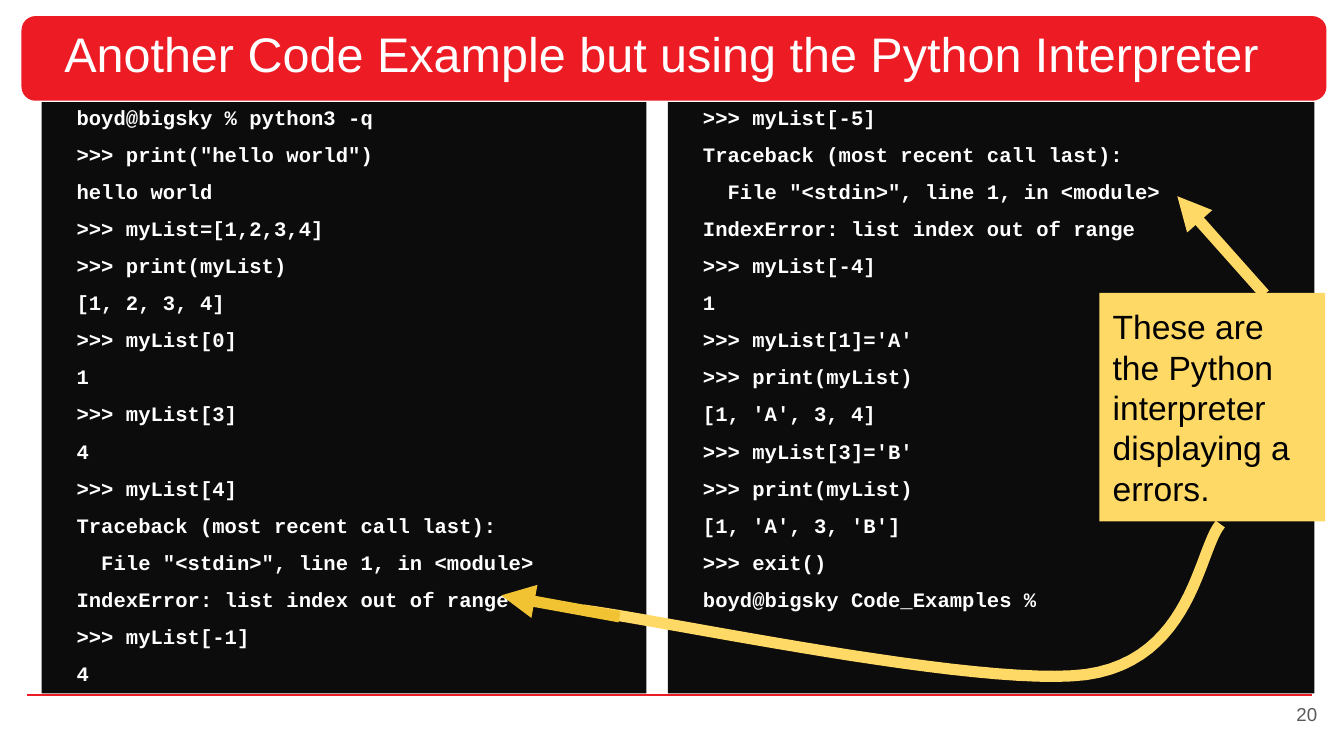
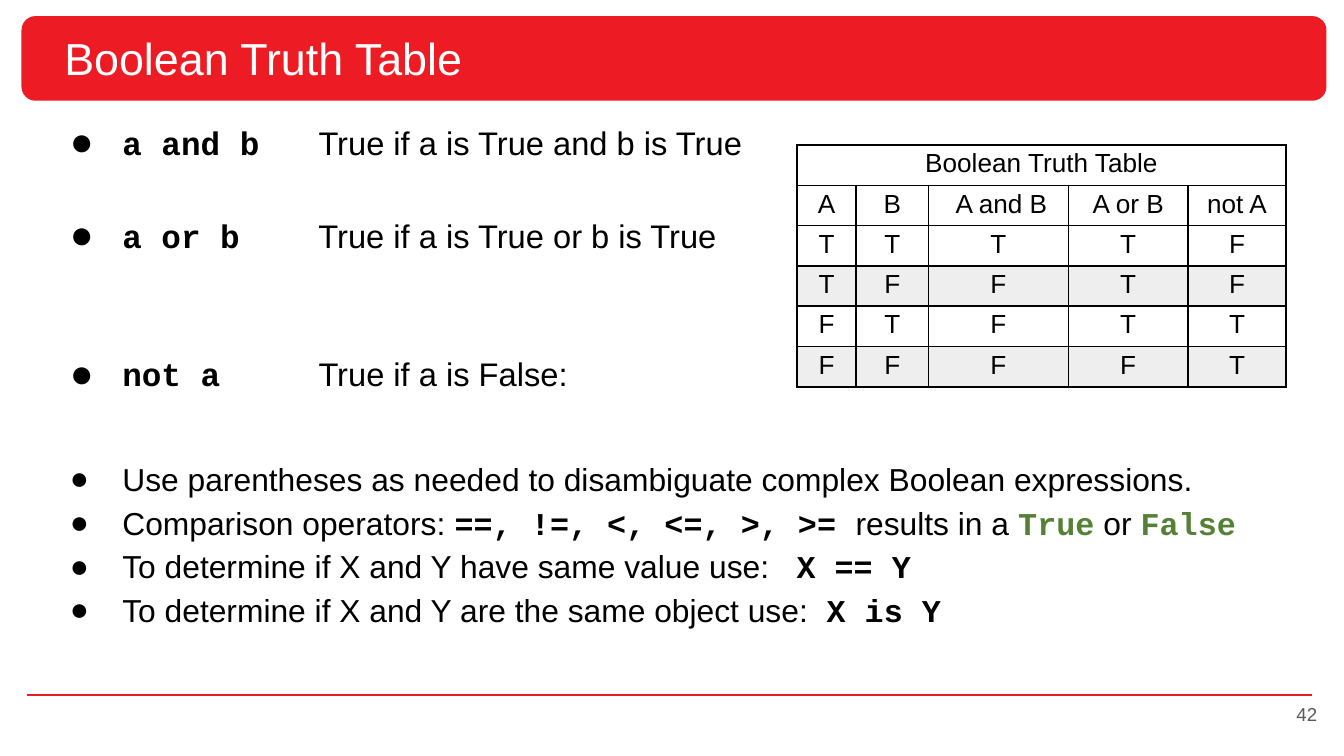
from dataclasses import dataclass
from typing import NamedTuple

from lxml import etree
from pptx import Presentation
from pptx.dml.color import RGBColor
from pptx.enum.shapes import MSO_CONNECTOR, MSO_SHAPE
from pptx.enum.text import MSO_ANCHOR, PP_ALIGN
from pptx.oxml.ns import qn
from pptx.util import Inches, Pt

STRAIGHT = MSO_CONNECTOR.STRAIGHT
RECTANGLE, ROUNDED = MSO_SHAPE.RECTANGLE, MSO_SHAPE.ROUNDED_RECTANGLE
TOP, MIDDLE = MSO_ANCHOR.TOP, MSO_ANCHOR.MIDDLE
LEFT, CENTER, RIGHT = PP_ALIGN.LEFT, PP_ALIGN.CENTER, PP_ALIGN.RIGHT


@dataclass(frozen=True)
class Theme:
    red: str = "ED1C24"
    terminal: str = "0C0C0C"
    yellow: str = "FFD966"
    gold: str = "F1C232"
    green: str = "548135"
    gray: str = "595959"
    stripe: str = "EEEEEE"
    black: str = "000000"
    white: str = "FFFFFF"
    sans: str = "Arial"
    mono: str = "Courier New"
    code_size: float = 11
    callout_size: float = 18
    term_size: float = 17.5
    body_size: float = 17
    table_size: float = 14
    number_size: float = 10
    arrow_width: float = 6
    rule_width: float = 1


THEME = Theme()


class Box(NamedTuple):
    left: float
    top: float
    width: float
    height: float

    def emu(self) -> list[int]:
        return [Inches(value) for value in self]


class Point(NamedTuple):
    x: float
    y: float


class Span(NamedTuple):
    """A stretch of text; spacing widens its letters, in points."""
    text: str
    code: bool = False
    color: str = THEME.black
    spacing: float = 0


class Bullet(NamedTuple):
    spans: list[Span]
    size: float = THEME.body_size
    line_spacing: float = 1.15
    space_before: float = 0
    bullet_percent: int = 100


class Term(NamedTuple):
    code: str
    meaning: str
    space_before: float


SLIDE_WIDTH = 10
SLIDE_HEIGHT = SLIDE_WIDTH * 9 / 16
TIGHT = (0.07, 0.04)
ROOMY = (0.1, 0.1)
TERM_COLUMNS = 10  # code characters before each meaning starts
MONO_ADVANCE = 0.6  # character width relative to the type size

LEFT_SESSION = """boyd@bigsky % python3 -q
>>> print("hello world")
hello world
>>> myList=[1,2,3,4]
>>> print(myList)
[1, 2, 3, 4]
>>> myList[0]
1
>>> myList[3]
4
>>> myList[4]
Traceback (most recent call last):
  File "<stdin>", line 1, in <module>
IndexError: list index out of range
>>> myList[-1]
4"""
RIGHT_SESSION = """>>> myList[-5]
Traceback (most recent call last):
  File "<stdin>", line 1, in <module>
IndexError: list index out of range
>>> myList[-4]
1
>>> myList[1]='A'
>>> print(myList)
[1, 'A', 3, 4]
>>> myList[3]='B'
>>> print(myList)
[1, 'A', 3, 'B']
>>> exit()
boyd@bigsky Code_Examples %"""

TERMS = [
    Term("a and b", "True if a is True and b is True", 8),
    Term("a or b", "True if a is True or b is True", 33),
    Term("not a", "True if a is False:", 57.5),
]
RULES = [
    Bullet([Span("Use parentheses as needed to disambiguate complex Boolean expressions.")],
           space_before=32.5),
    Bullet([Span("Comparison operators: "), Span("==, !=, <, <=, >, >= ", code=True),
            Span("results in a "), Span("True", True, THEME.green),
            Span(" or "), Span("False", True, THEME.green)]),
    Bullet([Span("To determine if X and Y have same value use:"),
            Span(" ", spacing=9.4), Span("X == Y", code=True)]),
    Bullet([Span("To determine if X and Y are the same object use:"),
            Span(" ", spacing=4.7), Span("X is Y", code=True)]),
]
TRUTH_TITLE = "Boolean Truth Table"
TRUTH_ROWS = [
    ["A", "B", " A and B", "A or B", "not A"],
    *[list(row) for row in ("TTTTF", "TFFTF", "FTFTT", "FFFFT")],
]
TRUTH_WIDTHS = [0.44, 0.54, 1.04, 0.89, 0.73]
TRUTH_ROW_HEIGHT = 0.3


def rgb(color: str) -> RGBColor:
    return RGBColor.from_string(color)


def style_run(run, size: float, color: str, font: str = THEME.sans, bold: bool = False) -> None:
    run.font.size = Pt(size)
    run.font.name = font
    run.font.bold = bold
    run.font.color.rgb = rgb(color)


def set_indent(paragraph, margin: float, first_line: float = 0) -> None:
    properties = paragraph._p.get_or_add_pPr()
    properties.set("marL", str(Inches(margin)))
    properties.set("indent", str(Inches(first_line)))


def prepare_frame(shape, insets: tuple[float, float], anchor=TOP):
    """Wrap and inset the text of a shape and return its frame."""
    frame = shape.text_frame
    frame.word_wrap = True
    frame.vertical_anchor = anchor
    frame.margin_left = frame.margin_right = Inches(insets[0])
    frame.margin_top = frame.margin_bottom = Inches(insets[1])
    return frame


def add_panel(slide, box: Box, fill: str, kind=RECTANGLE):
    shape = slide.shapes.add_shape(kind, *box.emu())
    shape.shadow.inherit = False
    shape.fill.solid()
    shape.fill.fore_color.rgb = rgb(fill)
    shape.line.fill.background()
    return shape


def add_line(slide, start: Point, end: Point, color: str, width: float, arrow: bool = False) -> None:
    ends = [Inches(value) for value in (*start, *end)]
    connector = slide.shapes.add_connector(STRAIGHT, *ends)
    connector.line.color.rgb = rgb(color)
    connector.line.width = Pt(width)
    properties = connector._element.spPr
    if arrow:
        etree.SubElement(properties.find(qn("a:ln")), qn("a:tailEnd"), type="triangle")
    etree.SubElement(properties, qn("a:effectLst"))


def add_label(slide, box: Box, text: str, size: float, color: str, insets=TIGHT,
              anchor=TOP, align=LEFT, line_spacing: float = 1.0) -> None:
    frame = prepare_frame(slide.shapes.add_textbox(*box.emu()), insets, anchor)
    frame.text = text
    paragraph = frame.paragraphs[0]
    paragraph.alignment = align
    paragraph.line_spacing = line_spacing
    style_run(paragraph.runs[0], size, color)


def add_slide(presentation, title: str, title_size: float, number: int, title_spacing: float = 1.0):
    """Add a blank slide with the title band, footer rule and slide number."""
    slide = presentation.slides.add_slide(presentation.slide_layouts[6])
    add_line(slide, Point(0.2, 5.17), Point(9.76, 5.17), THEME.red, THEME.rule_width)
    add_panel(slide, Box(0.16, 0.12, 9.71, 0.63), THEME.red, ROUNDED)
    add_label(slide, Box(0.38, 0.13, 9.32, 0.63), title, title_size, THEME.white,
              ROOMY, line_spacing=title_spacing)
    add_label(slide, Box(9.27, 5.1, 0.6, 0.43), str(number), THEME.number_size, THEME.gray,
              anchor=MIDDLE, align=RIGHT)
    return slide


def add_terminal(slide, box: Box, session: str) -> None:
    frame = prepare_frame(add_panel(slide, box, THEME.terminal), TIGHT)
    frame.text = session
    for index, paragraph in enumerate(frame.paragraphs):
        paragraph.alignment = LEFT
        paragraph.line_spacing = 0.9
        paragraph.space_before = Pt(8 if index else 0)
        set_indent(paragraph, 0.19)
        style_run(paragraph.runs[0], THEME.code_size, THEME.white, THEME.mono, True)


def add_callout(slide, box: Box, text: str) -> None:
    frame = prepare_frame(add_panel(slide, box, THEME.yellow), ROOMY)
    frame.text = text
    frame.paragraphs[0].alignment = LEFT
    style_run(frame.paragraphs[0].runs[0], THEME.callout_size, THEME.black)


def bezier(points: list[Point], steps: int = 24) -> list[Point]:
    """Points along a cubic curve, leaving out its start."""
    def at(t: float) -> Point:
        weights = ((1 - t) ** 3, 3 * t * (1 - t) ** 2, 3 * t * t * (1 - t), t ** 3)
        return Point(sum(w * p.x for w, p in zip(weights, points)),
                     sum(w * p.y for w, p in zip(weights, points)))
    return [at(step / steps) for step in range(1, steps + 1)]


def add_curve(slide, controls: list[Point], color: str, width: float) -> None:
    """Draw joined cubic curves; each takes three controls after the start."""
    route = [point for start in range(0, len(controls) - 1, 3)
             for point in bezier(controls[start:start + 4])]
    builder = slide.shapes.build_freeform(Inches(controls[0].x), Inches(controls[0].y))
    builder.add_line_segments([(Inches(x), Inches(y)) for x, y in route], close=False)
    curve = builder.convert_to_shape()
    curve.shadow.inherit = False
    curve.fill.background()
    curve.line.color.rgb = rgb(color)
    curve.line.width = Pt(width)


def term_bullet(term: Term) -> Bullet:
    """Widen one space so that every meaning starts in the same column."""
    missing = TERM_COLUMNS - len(term.code) - 1
    gap = Span(" ", code=True, spacing=missing * MONO_ADVANCE * THEME.term_size)
    return Bullet([Span(term.code, code=True), gap, Span(term.meaning)],
                  THEME.term_size, 0.8, term.space_before, 121)


def add_bullets(slide, box: Box, bullets: list[Bullet]) -> None:
    frame = prepare_frame(slide.shapes.add_textbox(*box.emu()), TIGHT)
    for index, bullet in enumerate(bullets):
        paragraph = frame.add_paragraph() if index else frame.paragraphs[0]
        paragraph.line_spacing = bullet.line_spacing
        paragraph.space_before = Pt(bullet.space_before)
        set_indent(paragraph, 0.5, -0.39)
        properties = paragraph._p.get_or_add_pPr()
        color = etree.SubElement(properties, qn("a:buClr"))
        etree.SubElement(color, qn("a:srgbClr"), val=THEME.black)
        etree.SubElement(properties, qn("a:buSzPct"), val=str(bullet.bullet_percent * 1000))
        etree.SubElement(properties, qn("a:buFont"), typeface=THEME.sans)
        etree.SubElement(properties, qn("a:buChar"), char="●")
        for span in bullet.spans:
            run = paragraph.add_run()
            run.text = span.text
            style_run(run, bullet.size, span.color, THEME.mono if span.code else THEME.sans, span.code)
            if span.spacing:
                run.font._element.set("spc", str(round(span.spacing * 100)))


def style_cell(cell, fill: str) -> None:
    cell.margin_left = cell.margin_right = Inches(0.08)
    cell.margin_top = cell.margin_bottom = Inches(0.03)
    cell.fill.solid()
    cell.fill.fore_color.rgb = rgb(fill)
    paragraph = cell.text_frame.paragraphs[0]
    paragraph.alignment = CENTER
    for run in paragraph.runs:
        style_run(run, THEME.table_size, THEME.black)
    properties = cell._tc.get_or_add_tcPr()
    for index, side in enumerate(("lnL", "lnR", "lnT", "lnB")):
        border = etree.Element(qn(f"a:{side}"), w=str(Pt(0.96)))
        solid = etree.SubElement(border, qn("a:solidFill"))
        etree.SubElement(solid, qn("a:srgbClr"), val=THEME.black)
        properties.insert(index, border)


def add_truth_table(slide, left: float, top: float) -> None:
    rows = [[TRUTH_TITLE] + [""] * (len(TRUTH_WIDTHS) - 1), *TRUTH_ROWS]
    box = Box(left, top, sum(TRUTH_WIDTHS), TRUTH_ROW_HEIGHT * len(rows))
    table = slide.shapes.add_table(len(rows), len(TRUTH_WIDTHS), *box.emu()).table
    table.first_row = table.horz_banding = False
    for column, width in zip(table.columns, TRUTH_WIDTHS):
        column.width = Inches(width)
    for row_index, texts in enumerate(rows):
        striped = row_index > 2 and row_index % 2 == 1
        for column_index, text in enumerate(texts):
            cell = table.cell(row_index, column_index)
            cell.text_frame.text = text
            style_cell(cell, THEME.stripe if striped else THEME.white)
    table.cell(0, 0).merge(table.cell(0, len(TRUTH_WIDTHS) - 1))


def build_interpreter_slide(presentation) -> None:
    slide = add_slide(presentation, "Another Code Example but using the Python Interpreter", 26, 20, 0.9)
    add_terminal(slide, Box(0.31, 0.76, 4.5, 4.4), LEFT_SESSION)
    add_terminal(slide, Box(4.97, 0.76, 4.81, 4.4), RIGHT_SESSION)
    add_line(slide, Point(9.41, 2.19), Point(8.76, 1.46), THEME.yellow, THEME.arrow_width, arrow=True)
    add_callout(slide, Box(8.18, 2.18, 1.68, 1.7), "These are the Python interpreter displaying a errors.")
    add_curve(slide, [Point(9.08, 3.9), Point(8.92, 4.09), Point(8.87, 4.91), Point(8.08, 5.02),
                      Point(7.29, 5.12), Point(4.96, 4.62), Point(4.34, 4.54)],
              THEME.yellow, THEME.arrow_width)
    add_line(slide, Point(4.61, 4.59), Point(3.73, 4.43), THEME.gold, THEME.arrow_width, arrow=True)


def build_truth_slide(presentation) -> None:
    slide = add_slide(presentation, TRUTH_TITLE, 24, 42)
    add_bullets(slide, Box(0.34, 0.93, 9.32, 3.99), [term_bullet(term) for term in TERMS] + RULES)
    add_truth_table(slide, 5.93, 1.08)


def main() -> None:
    presentation = Presentation()
    presentation.slide_width, presentation.slide_height = Inches(SLIDE_WIDTH), Inches(SLIDE_HEIGHT)
    build_interpreter_slide(presentation)
    build_truth_slide(presentation)
    presentation.save("out.pptx")


if __name__ == "__main__":
    main()
